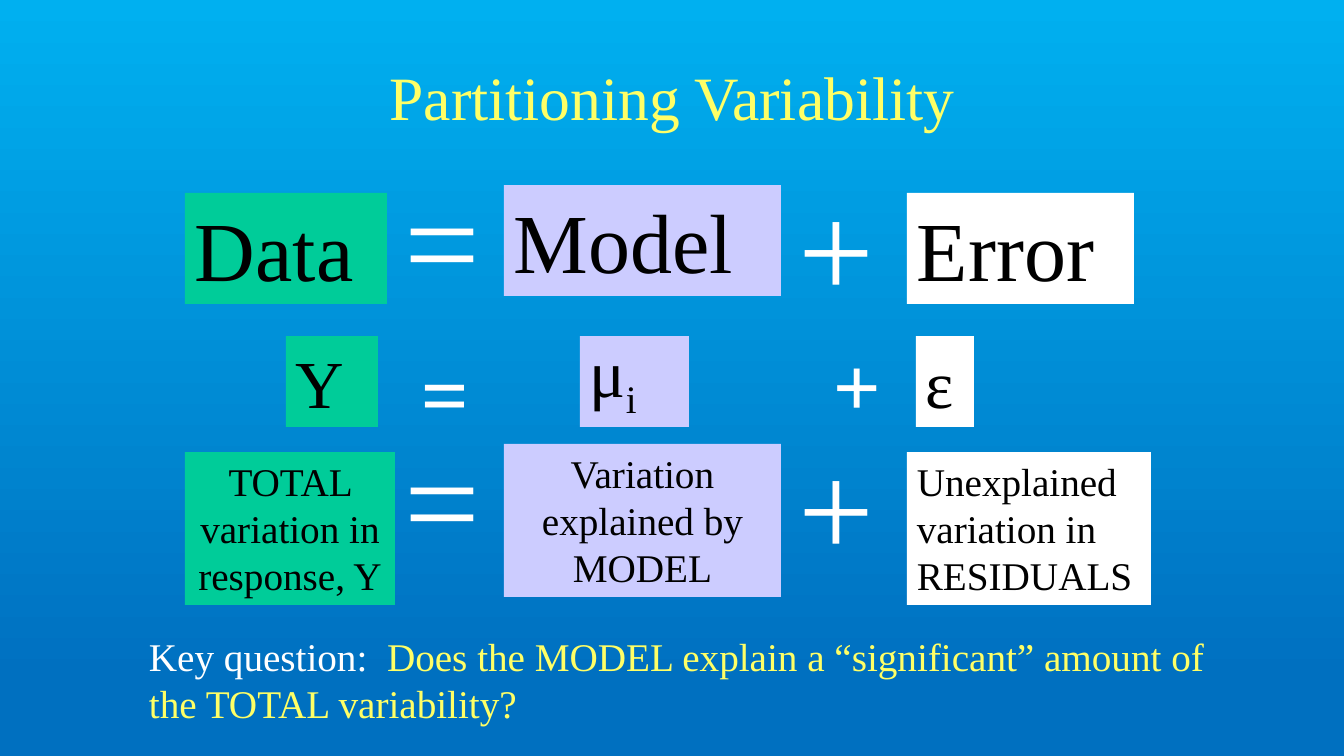
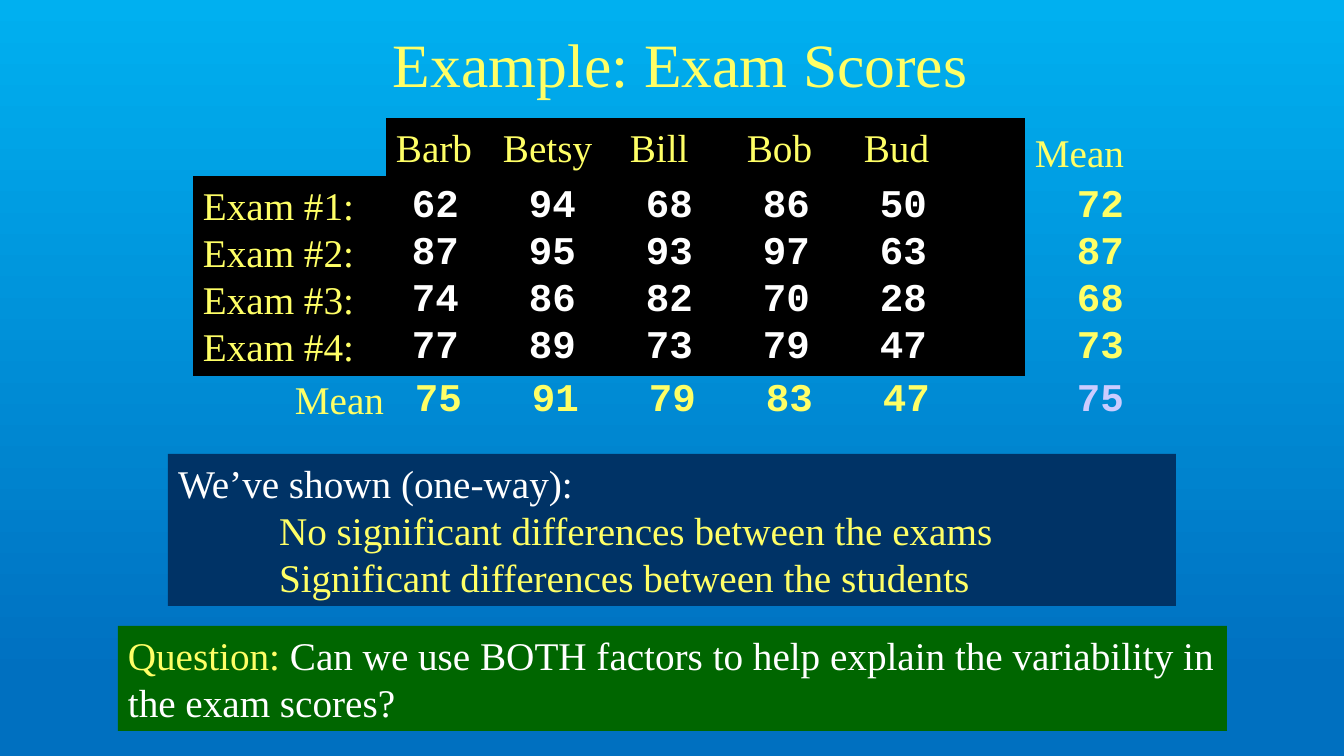
import dataclasses
import typing

import pptx
import pptx.dml.color
import pptx.enum.shapes
import pptx.enum.text
import pptx.oxml
import pptx.oxml.ns
import pptx.util

EMU_PER_PIXEL = 12192000 / 1344
LINE_HEIGHT = 1.2
SERIF, MONO = "Times New Roman", "Courier New"
WHITE, BLACK, YELLOW = "FFFFFF", "000000", "FFFF66"
GREEN, LILAC, NAVY, FOREST = "00CC99", "CCCCFF", "003366", "006600"
NO_GRID_STYLE = "{2D5ABB26-0587-4C30-8999-92F81FD0307C}"
LEFT = pptx.enum.text.PP_ALIGN.LEFT
CENTER = pptx.enum.text.PP_ALIGN.CENTER
RIGHT = pptx.enum.text.PP_ALIGN.RIGHT
TOP = pptx.enum.text.MSO_ANCHOR.TOP
MIDDLE = pptx.enum.text.MSO_ANCHOR.MIDDLE
BOTTOM = pptx.enum.text.MSO_ANCHOR.BOTTOM


@dataclasses.dataclass(frozen=True)
class Span:
    text: str
    color: str
    subscript: bool = False


@dataclasses.dataclass(frozen=True)
class Style:
    size: int = 28
    font: str = SERIF
    bold: bool = False
    align: typing.Any = LEFT


@dataclasses.dataclass(frozen=True)
class Panel:
    x: int
    y: int
    w: int
    h: int
    spans: tuple[Span, ...]
    style: Style = Style()
    fill: typing.Optional[str] = None


@dataclasses.dataclass(frozen=True)
class Entry:
    text: str
    color: str = YELLOW
    style: Style = Style()
    left: int = 10
    right: int = 0
    fill: typing.Optional[str] = None


def px(pixels: float) -> int:
    return round(pixels * EMU_PER_PIXEL)


def rgb(value: str) -> pptx.dml.color.RGBColor:
    return pptx.dml.color.RGBColor.from_string(value)


def place(shape: typing.Any, x: int, y: int, w: int, h: int) -> None:
    shape.left, shape.top, shape.width, shape.height = px(x), px(y), px(w), px(h)


def paint(target: typing.Any, color: typing.Optional[str]) -> None:
    if color is None:
        target.fill.background()
    else:
        target.fill.solid()
        target.fill.fore_color.rgb = rgb(color)


def write(paragraph: typing.Any, spans: typing.Sequence[Span], style: Style) -> None:
    paragraph.alignment = style.align
    paragraph.space_before = pptx.util.Pt(0)
    paragraph.line_spacing = pptx.util.Pt(style.size * LINE_HEIGHT)
    paragraph.font.size = pptx.util.Pt(style.size)
    paragraph.font.name = style.font
    paragraph.font.bold = style.bold
    same_color = len({span.color for span in spans}) == 1
    if same_color:
        paragraph.font.color.rgb = rgb(spans[0].color)
    for span in spans:
        run = paragraph.add_run()
        run.text = span.text
        if not same_color:
            run.font.color.rgb = rgb(span.color)
        if span.subscript:
            run.font._element.set("baseline", "-25000")


def add_panel(slide: typing.Any, panel: Panel) -> None:
    box = tuple(px(length) for length in (panel.x, panel.y, panel.w, panel.h))
    if panel.fill is None:
        shape = slide.shapes.add_textbox(*box)
    else:
        shape = slide.shapes.add_shape(pptx.enum.shapes.MSO_SHAPE.RECTANGLE, *box)
        shape.shadow.inherit = False
        shape.line.fill.background()
        paint(shape, panel.fill)
    frame = shape.text_frame
    frame.word_wrap = True
    frame.vertical_anchor = TOP
    write(frame.paragraphs[0], panel.spans, panel.style)


def add_slide(deck: typing.Any, layout: int, title: str, x: int, y: int) -> typing.Any:
    slide = deck.slides.add_slide(deck.slide_layouts[layout])
    heading = slide.shapes.title
    place(heading, x, y, 857, 126)
    heading.text_frame.vertical_anchor = MIDDLE
    write(heading.text_frame.paragraphs[0], [Span(title, YELLOW)], Style(44, align=CENTER))
    return slide


def set_background(deck: typing.Any) -> None:
    fill = deck.slide_master.background.fill
    fill.gradient()
    fill.gradient_angle = 270
    for stop, position, color in zip(fill.gradient_stops, (0, 0.9), ("00B0F0", "0070C0")):
        stop.position = position
        stop.color.rgb = rgb(color)


def build_partitioning(deck: typing.Any) -> None:
    slide = add_slide(deck, 5, "Partitioning Variability", 244, 33)
    word, symbol, operator = Style(60), Style(48), Style(96)
    small_operator = Style(60, bold=True)
    centered = Style(align=CENTER)

    def block(x: int, y: int, w: int, h: int, text: str, style: Style, fill: str) -> Panel:
        return Panel(x, y, w, h, (Span(text, BLACK),), style, fill)

    def sign(x: int, y: int, w: int, h: int, text: str, style: Style) -> Panel:
        return Panel(x, y, w, h, (Span(text, WHITE),), style)

    equation = [
        block(185, 193, 202, 111, "Data", word, GREEN),
        block(504, 185, 277, 111, "Model", word, LILAC),
        block(907, 193, 227, 111, "Error", word, WHITE),
        block(286, 336, 92, 91, "Y", symbol, GREEN),
        Panel(580, 336, 109, 91, (Span("μ", BLACK), Span("i", BLACK, True)), symbol, LILAC),
        block(916, 336, 58, 91, "ε", symbol, WHITE),
        block(185, 452, 210, 153, "TOTAL variation in response, Y", centered, GREEN),
        block(504, 444, 277, 153, "Variation explained by MODEL", centered, LILAC),
        block(907, 452, 244, 153, "Unexplained variation in RESIDUALS", Style(), WHITE),
        sign(411, 336, 76, 111, "=", small_operator),
        sign(823, 328, 76, 111, "+", small_operator),
    ]
    for row_top in (151, 410):
        equation.append(sign(395, row_top, 134, 171, "=", operator))
        equation.append(sign(789, row_top + 8, 134, 171, "+", operator))
    key_question = (
        Span("Key question: ", WHITE),
        Span(" Does the MODEL explain a “significant” amount of the TOTAL variability?", YELLOW),
    )
    equation.append(Panel(139, 627, 1101, 105, key_question))
    for panel in equation:
        add_panel(slide, panel)


def score_rows() -> list[list[Entry]]:
    students = ("Barb", "Betsy", "Bill", "Bob", "Bud")
    scores = (
        (62, 94, 68, 86, 50),
        (87, 95, 93, 97, 63),
        (74, 86, 82, 70, 28),
        (77, 89, 73, 79, 47),
    )
    exam_means = (72, 87, 68, 73)
    student_means = (75, 91, 79, 83, 47)
    number = Style(font=MONO, bold=True)
    header = [Entry(name, left=0 if name == "Betsy" else 10, fill=BLACK) for name in students]
    rows = [[Entry(""), *header, Entry("Mean")]]
    for index, (marks, mean) in enumerate(zip(scores, exam_means), start=1):
        cells = [Entry(str(mark), WHITE, number, 26, fill=BLACK) for mark in marks]
        label = Entry(f"Exam #{index}:", fill=BLACK)
        rows.append([label, *cells, Entry(str(mean), YELLOW, number, 52)])
    averages = [Entry(str(mean), YELLOW, number, 29) for mean in student_means]
    mean_label = Entry("Mean", style=Style(align=RIGHT), right=2)
    rows.append([mean_label, *averages, Entry("75", LILAC, number, 52)])
    return rows


def add_scores(slide: typing.Any) -> None:
    widths = (193, 117, 117, 117, 117, 171, 151)
    heights = (58, 53, 47, 47, 53, 47)
    anchors = (MIDDLE, BOTTOM, MIDDLE, MIDDLE, TOP, MIDDLE)
    rows = score_rows()
    frame = slide.shapes.add_table(
        len(rows), len(widths), px(193), px(118), px(sum(widths)), px(sum(heights))
    )
    table = frame.table
    table.first_row = table.horz_banding = False
    table._tbl.tblPr.find(pptx.oxml.ns.qn("a:tableStyleId")).text = NO_GRID_STYLE
    for column, width in zip(table.columns, widths):
        column.width = px(width)
    for row, height, anchor, entries in zip(table.rows, heights, anchors, rows):
        row.height = px(height)
        for cell, entry in zip(row.cells, entries):
            cell.margin_left, cell.margin_right = px(entry.left), px(entry.right)
            cell.margin_top = cell.margin_bottom = 0
            cell.vertical_anchor = anchor
            paint(cell, entry.fill)
            if entry.text:
                write(cell.text_frame.paragraphs[0], [Span(entry.text, entry.color)], entry.style)
    table.cell(0, len(widths) - 1).vertical_anchor = BOTTOM


def add_findings(slide: typing.Any) -> None:
    findings = slide.placeholders[1]
    place(findings, 168, 454, 1008, 152)
    paint(findings, NAVY)
    frame = findings.text_frame
    frame.auto_size = pptx.enum.text.MSO_AUTO_SIZE.NONE
    frame.vertical_anchor = TOP
    lines = (
        ("We’ve shown (one-way):", WHITE, 0),
        ("No significant differences between the exams", YELLOW, 101),
        ("Significant differences between the students", YELLOW, 101),
    )
    for index, (text, color, indent) in enumerate(lines):
        paragraph = frame.add_paragraph() if index else frame.paragraphs[0]
        write(paragraph, [Span(text, color)], Style())
        properties = paragraph._p.get_or_add_pPr()
        properties.set("marL", str(px(indent)))
        properties.set("indent", "0")
        bullet = pptx.oxml.parse_xml(f'<a:buNone {pptx.oxml.ns.nsdecls("a")}/>')
        properties.find(pptx.oxml.ns.qn("a:defRPr")).addprevious(bullet)


def build_exam_scores(deck: typing.Any) -> None:
    slide = add_slide(deck, 1, "Example: Exam Scores", 252, 0)
    add_findings(slide)
    question = (
        Span("Question:", YELLOW),
        Span(" Can we use BOTH factors to help explain the variability in the exam scores?", WHITE),
    )
    add_panel(slide, Panel(118, 626, 1109, 105, question, fill=FOREST))
    add_scores(slide)


def main() -> None:
    deck = pptx.Presentation()
    deck.slide_width, deck.slide_height = px(1344), px(756)
    set_background(deck)
    build_partitioning(deck)
    build_exam_scores(deck)
    deck.save("out.pptx")


main()
